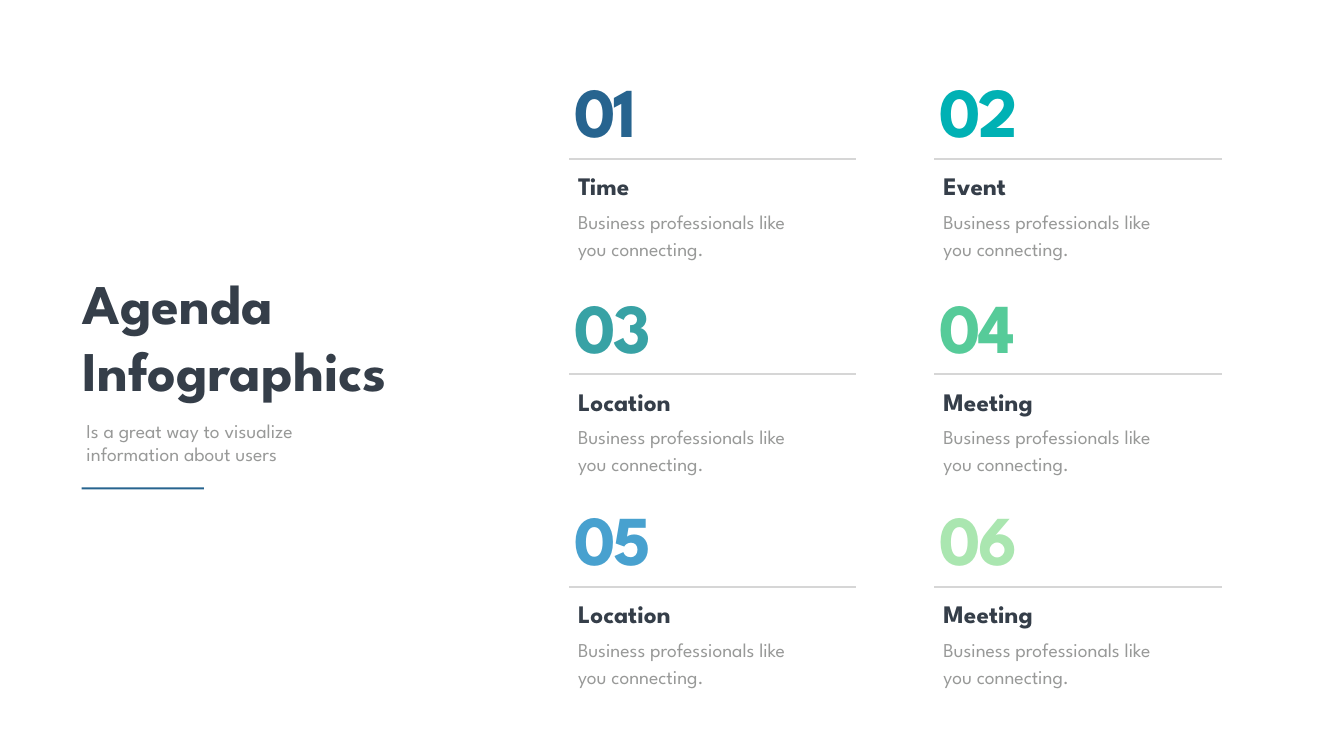
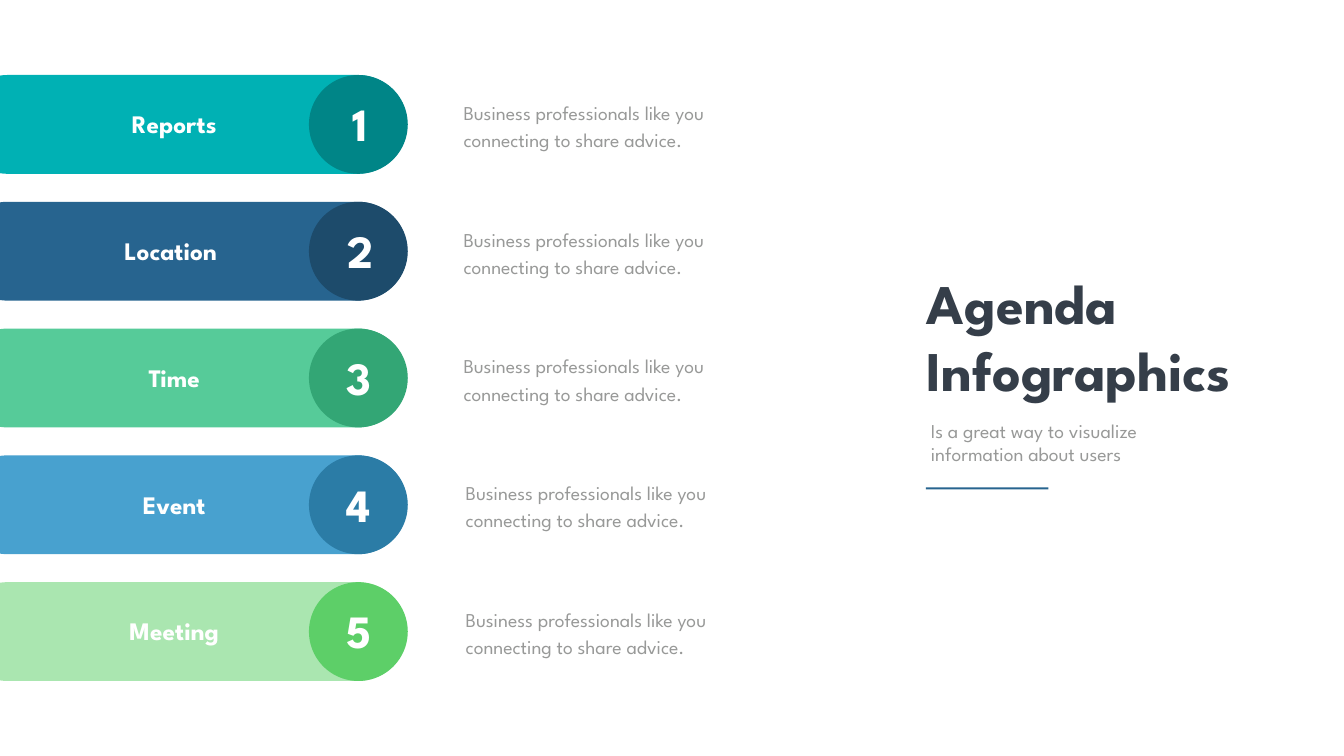
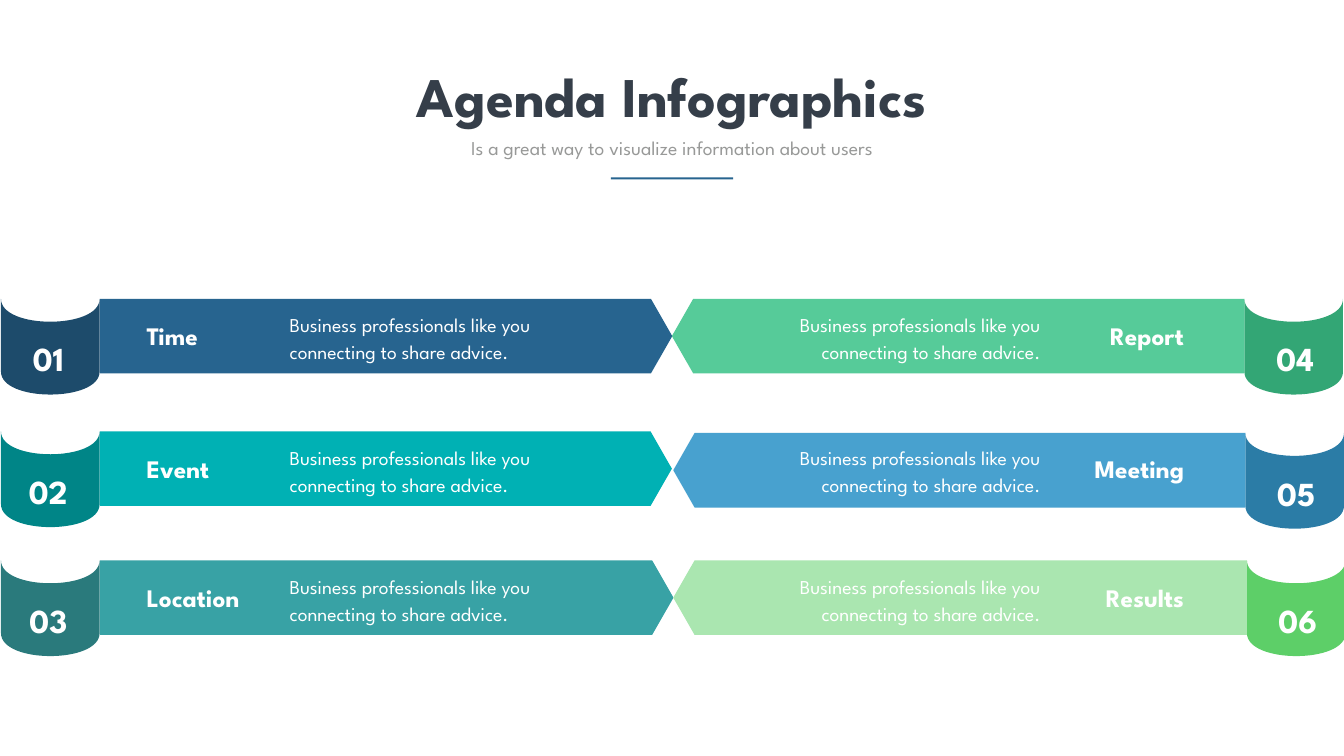
"""Build three agenda infographic slides."""
from pptx import Presentation
from pptx.dml.color import RGBColor
from pptx.enum.shapes import MSO_CONNECTOR as Line, MSO_SHAPE as Shape
from pptx.enum.text import MSO_AUTO_SIZE as Fit, PP_ALIGN as Align
from pptx.oxml.ns import qn
from pptx.oxml.xmlchemy import OxmlElement
from pptx.util import Cm, Pt

TITLE = ["Agenda", "Infographics"]
SUBTITLE = "Is a great way to visualize information about users"
SHORT_NOTE = "Business professionals like you connecting."
NOTE = "Business professionals like you connecting to share advice."

TOPICS = [
    ("01", "Time", "blue", 6.4), ("02", "Event", "teal", 6.4),
    ("03", "Location", "sea", 8.5), ("04", "Meeting", "green", 8.08),
    ("05", "Location", "sky", 8.5), ("06", "Meeting", "mint", 8.08),
]
BARS = [
    ("1", "Reports", "teal", 17.12, 2.57, 23.11),
    ("2", "Location", "blue", 17.15, 2.39, 23.11),
    ("3", "Time", "green", 17.07, 2.57, 23.11),
    ("4", "Event", "sky", 17.02, 2.57, 23.22),
    ("5", "Meeting", "mint", 17.07, 2.57, 23.22),
]
RIBBONS = [
    (15.06, 28.85, ("01", "Time", "blue"), ("04", "Report", "green", 33.86, 0)),
    (21.74, 28.83, ("02", "Event", "teal"), ("05", "Meeting", "sky", 33.93, 0.08)),
    (28.24, 28.91, ("03", "Location", "sea"), ("06", "Results", "mint", 33.93, 0)),
]

THEME = {
    "font": "League Spartan",
    "colors": {
        "ink": "353E49", "grey": "989998", "rule": "D6D6D6", "white": "FFFFFF",
        "blue": "27648F", "teal": "00B1B4", "sea": "38A2A5",
        "green": "56CB99", "sky": "48A1CF", "mint": "AAE6B0",
        "blue dark": "1D4B6B", "teal dark": "008587", "sea dark": "2A7A7C",
        "green dark": "33A675", "sky dark": "2B7CA6", "mint dark": "5DCF68",
    },
    "styles": {
        "title": {"size": Pt(80), "bold": True},
        "number": {"size": Pt(100), "bold": True},
        "digit": {"size": Pt(66), "bold": True},
        "tag": {"size": Pt(48), "bold": True},
        "heading": {"size": Pt(36), "bold": True},
        "subtitle": {"size": Pt(28)},
        "note": {"size": Pt(28)},
    },
    "leading": {"note": Pt(38.6)},
    "tracking": {"number": "-300"},
}


def color(name):
    return RGBColor.from_string(THEME["colors"][name])


def add_text(s, lines, box, style, ink, align=Align.LEFT, wrap=True):
    tf = s.shapes.add_textbox(*map(Cm, box)).text_frame
    for name, value in {"word_wrap": wrap, "auto_size": Fit.SHAPE_TO_FIT_TEXT}.items():
        setattr(tf, name, value)
    for i, line in enumerate([lines] if isinstance(lines, str) else lines):
        p = tf.add_paragraph() if i else tf.paragraphs[0]
        p.alignment = align
        p.line_spacing = THEME["leading"].get(style)
        r = p.add_run()
        r.text = line
        for name, value in {"name": THEME["font"], **THEME["styles"][style]}.items():
            setattr(r.font, name, value)
        r.font.color.rgb = color(ink)
        if style in THEME["tracking"]:
            r.font._element.set("spc", THEME["tracking"][style])


def paint(sp, fill):
    sp.shadow.inherit = False
    sp.fill.solid()
    sp.fill.fore_color.rgb = color(fill)
    sp.line.fill.background()
    return sp


def add_block(s, kind, box, fill, adj=None):
    sp = paint(s.shapes.add_shape(kind, *map(Cm, box)), fill)
    if adj is not None:
        sp.adjustments[0] = adj
    return sp


def add_rule(s, x, y, length):
    ln = s.shapes.add_connector(Line.STRAIGHT, Cm(x), Cm(y), Cm(x + length), Cm(y))
    ln.line.color.rgb = color("rule")
    ln.line.width = Pt(3)
    ln._element.spPr.append(OxmlElement("a:effectLst"))


def add_cap(s, x, y, fill, w=4.97, side=3.67, bow=1.54):
    points = [(w, side + bow), (0, side + bow), (0, side), (0, 0), (0, bow), (w, bow), (w, 0)]
    builder = s.shapes.build_freeform(Cm(x + w), Cm(y + side))
    builder.add_line_segments([(Cm(x + dx), Cm(y + dy)) for dx, dy in points], close=True)
    sp = paint(builder.convert_to_shape(), fill)
    segments = list(sp._element.iter(qn("a:lnTo")))
    for curve, *rest in (segments[:3], segments[4:]):
        curve.tag = qn("a:cubicBezTo")
        for segment in rest:
            curve.append(segment[0])
            segment.getparent().remove(segment)


def add_accent(s, x, y):
    add_block(s, Shape.RECTANGLE, (x, y, 6.17, 0.1), "blue")


def add_side_title(s, x):
    add_text(s, TITLE, (x - 0.2, 13.41, 17.63, 7.09), "title", "ink")
    add_accent(s, x, 24.56)
    add_text(s, SUBTITLE, (x, 20.98, 13.28, 2.64), "subtitle", "grey")


def add_top_title(s):
    add_text(s, " ".join(TITLE), (18.97, 2.97, 29.77, 3.68), "title", "ink", Align.CENTER, False)
    add_text(s, SUBTITLE, (21.72, 6.73, 24.28, 1.45), "subtitle", "grey", Align.CENTER)
    add_accent(s, 30.78, 8.94)


def build_grid(s):
    add_side_title(s, 4.11)
    columns, rows = (28.68, 47.09), (3.3, 14.15, 24.87)
    for i, (number, heading, hue, width) in enumerate(TOPICS):
        x, y = columns[i % 2], rows[i // 2]
        add_text(s, number, (x, y, width, 4.52), "number", hue)
        add_rule(s, x, y + 4.72, 14.48)
        add_text(s, SHORT_NOTE, (x + 0.2, y + 6.96, 12.42, 3), "note", "grey")
        add_text(s, heading, (x + 0.2, y + 5.17, 12.42, 1.8), "heading", "ink")


def build_bars(s):
    size, top, pitch = 4.98, 3.78, 6.39
    for i, (digit, heading, hue, digit_x, heading_x, note_x) in enumerate(BARS):
        y = top + i * pitch
        add_block(s, Shape.ROUNDED_RECTANGLE, (-2.11, y, 22.63, size), hue, 0.5)
        add_block(s, Shape.OVAL, (15.57, y, size, size), hue + " dark")
        add_text(s, digit, (digit_x, y + 0.91, 2.06, 3.07), "digit", "white", Align.CENTER)
        add_text(s, NOTE, (note_x, y + 1, 16.21, 3), "note", "grey")
        add_text(s, heading, (heading_x, y + 1.57, 12.42, 1.8), "heading", "white", Align.CENTER)
    add_side_title(s, 46.66)


def add_ribbon(s, y, text_y, width, item, xs, align, flip=False):
    number, heading, hue = item
    cap_x, arrow_x, number_x, heading_x, note_x = xs
    add_cap(s, cap_x, y, hue + " dark")
    arrow = add_block(s, Shape.PENTAGON, (arrow_x, y, width, 3.76), hue, 0.286)
    if flip:
        arrow._element.spPr.get_or_add_xfrm().set("flipH", "1")
    add_text(s, number, (number_x, y + 1.87, 3.81, 2.31), "tag", "white", Align.CENTER)
    add_text(s, NOTE, (note_x, text_y, 16.71, 2.92), "note", "white", align)
    add_text(s, heading, (heading_x, text_y + 0.56, 6.35, 1.8), "heading", "white", align)


def build_ribbons(s):
    add_top_title(s)
    for y, width, left, (*right, x, drop) in RIBBONS:
        text_y, cap_x = y + 0.41, x + width
        add_ribbon(s, y, text_y, width, left, (0.05, 5.03, 0.53, 7.14, 14.35), Align.LEFT)
        add_ribbon(s, y + drop, text_y, width, right,
                   (cap_x, x, cap_x + 0.66, 53.57, 35.97), Align.RIGHT, True)


def main():
    prs = Presentation()
    prs.slide_width, prs.slide_height = Cm(67.73), Cm(38.1)
    for build in (build_grid, build_bars, build_ribbons):
        build(prs.slides.add_slide(prs.slide_layouts[6]))
    prs.save("out.pptx")


if __name__ == "__main__":
    main()
